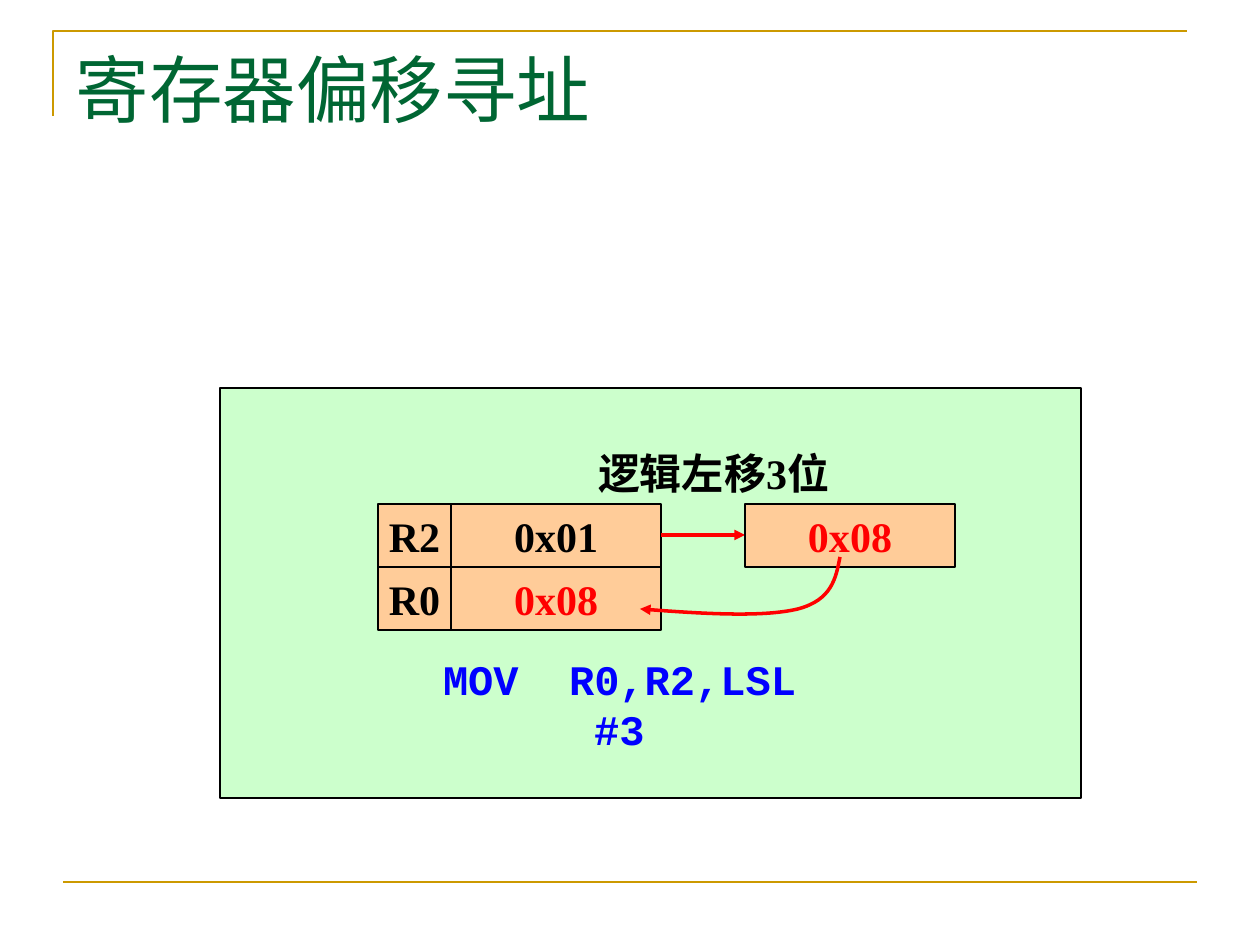
from lxml import etree
from pptx import Presentation
from pptx import util as u
from pptx.dml.color import RGBColor
from pptx.enum import shapes, text
from pptx.oxml.ns import qn

PX = 914400 / 126  # EMU in one px
COLORS = {"gold": "CC9900", "title": "006633", "panel": "CCFFCC", "cell": "FFCC99",
          "black": "000000", "red": "FF0000", "blue": "0000FF"}
SERIF, MONO = "Times New Roman", "Courier New"

# Content
TITLE = "寄存器偏移寻址"
REGISTERS = [("R2", "0x01", "black"), ("R0", "0x08", "red")]
SHIFTED = "0x08"
LABELS = [  # text, box, font, colour
    ("MOV  R0,R2,LSL #3", (399, 672, 441, 63), MONO, "blue"),
    ("逻辑左移3位", (535, 441, 357, 63), SERIF, "black"),
]

# Layout in px
PANEL = (220, 388, 861, 410)
LEFT, TOP, ROW_H = 378, 504, 63
NAME_W, VALUE_W, GAP = 73, 210, 84
CORNER = [(53, 116), (53, 31), (1187, 31)]
FOOT_RULE = [(63, 882), (1197, 882)]
# Two Bezier segments: start, then control, control, end for each
RETURN_CURVE = [(840, 557), (836, 578), (832, 600), (798, 609),
                (765, 617), (703, 614), (640, 609)]


def emu(*lengths):
    return [u.Emu(round(n * PX)) for n in lengths]


def rgb(name):
    return RGBColor.from_string(COLORS[name])


def set_line(s, color, width, arrow=False):
    s.line.color.rgb = rgb(color)
    s.line.width = u.Pt(width)
    if arrow:
        etree.SubElement(s.line._get_or_add_ln(), qn("a:tailEnd"), type="triangle")


def add_text(s, words, color, font=SERIF):
    tf = s.text_frame
    tf.word_wrap = False
    tf.vertical_anchor = text.MSO_ANCHOR.MIDDLE
    p = tf.paragraphs[0]
    p.text = words
    p.alignment = text.PP_ALIGN.CENTER
    p.font.name, p.font.size, p.font.bold = font, u.Pt(24), True
    p.font.color.rgb = rgb(color)


def add_box(slide, box, fill, words="", color="black"):
    s = slide.shapes.add_shape(shapes.MSO_SHAPE.RECTANGLE, *emu(*box))
    s.shadow.inherit = False
    s.fill.solid()
    s.fill.fore_color.rgb = rgb(fill)
    set_line(s, "black", 0.75)
    if words:
        add_text(s, words, color)


def add_line(slide, start, end, color, width, arrow=False):
    s = slide.shapes.add_connector(shapes.MSO_CONNECTOR.STRAIGHT, *emu(*start, *end))
    set_line(s, color, width, arrow)
    etree.SubElement(s._element.spPr, qn("a:effectLst"))


def add_path(slide, points, color, width, arrow=False):
    builder = slide.shapes.build_freeform(*points[0], scale=PX)
    builder.add_line_segments(points[1:], close=False)
    s = builder.convert_to_shape()
    s.shadow.inherit = False
    s.fill.background()
    set_line(s, color, width, arrow)
    return s


def bend(s):
    """Turn each three straight segments into one cubic Bezier segment."""
    lines = list(s._element.iter(qn("a:lnTo")))
    for i in range(0, len(lines), 3):
        curve = etree.Element(qn("a:cubicBezTo"))
        lines[i].addprevious(curve)
        for line in lines[i:i + 3]:
            curve.append(line[0])
            line.getparent().remove(line)


def main():
    prs = Presentation()
    prs.slide_width, prs.slide_height = u.Inches(10), u.Inches(7.5)
    slide = prs.slides.add_slide(prs.slide_layouts[5])

    # Frame lines
    add_path(slide, CORNER, "gold", 1.5)
    add_line(slide, *FOOT_RULE, "gold", 1.5)

    # Title
    s = slide.shapes.title
    s.left, s.top, s.width, s.height = emu(63, 38, 1134, 157)
    tf = s.text_frame
    tf.auto_size = text.MSO_AUTO_SIZE.NONE
    tf.vertical_anchor = text.MSO_ANCHOR.TOP
    p = tf.paragraphs[0]
    p.text = TITLE
    p.alignment = text.PP_ALIGN.LEFT
    p.font.name, p.font.size = SERIF, u.Pt(42)
    p.font.color.rgb = rgb("title")

    # Panel and registers
    add_box(slide, PANEL, "panel")
    value_x = LEFT + NAME_W
    for row, (name, value, color) in enumerate(REGISTERS):
        y = TOP + row * ROW_H
        add_box(slide, (LEFT, y, NAME_W, ROW_H), "cell", name)
        add_box(slide, (value_x, y, VALUE_W, ROW_H), "cell", value, color)

    # Shifted value and arrows
    value_end, mid_y = value_x + VALUE_W, TOP + ROW_H // 2
    shifted_x = value_end + GAP
    add_line(slide, (value_end, mid_y), (shifted_x, mid_y), "red", 2, arrow=True)
    add_box(slide, (shifted_x, TOP, VALUE_W, ROW_H), "cell", SHIFTED, "red")
    bend(add_path(slide, RETURN_CURVE, "red", 2, arrow=True))

    # Labels
    for words, box, font, color in LABELS:
        add_text(slide.shapes.add_textbox(*emu(*box)), words, color, font)

    prs.save("out.pptx")


if __name__ == "__main__":
    main()
